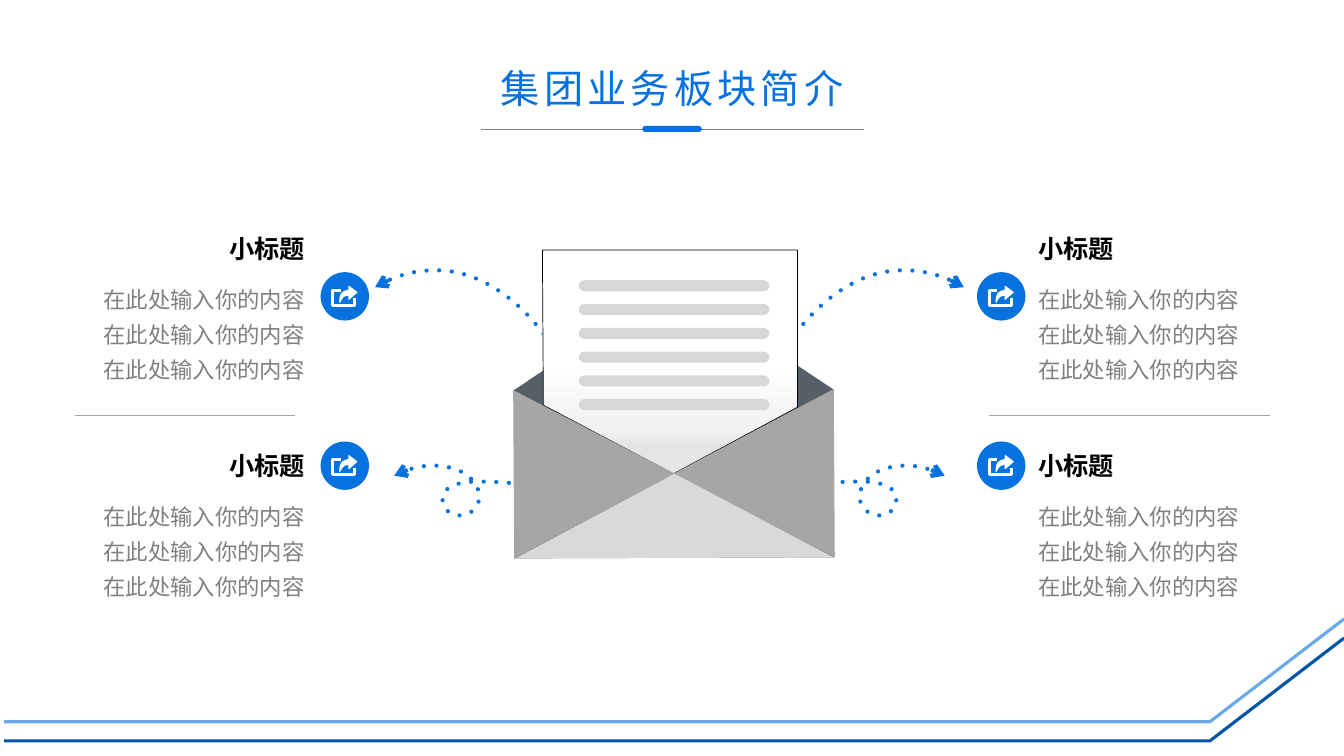
from copy import deepcopy
from lxml.etree import SubElement
from pptx import Presentation
from pptx.dml.color import RGBColor
from pptx.enum.shapes import MSO_CONNECTOR, MSO_SHAPE
from pptx.enum.text import MSO_ANCHOR, PP_ALIGN
from pptx.oxml.ns import qn
from pptx.util import Inches, Pt

BLUE, NAVY, GREY, WHITE = "0672DF", "0555A7", "808080", "FFFFFF"
FACE = "Noto Sans CJK JP"

deck = Presentation()
deck.slide_width, deck.slide_height = Inches(13.33), Inches(7.5)
slide = deck.slides.add_slide(deck.slide_layouts[5])
shapes = slide.shapes


def paint(item, fill=None, line=None, width=0.5):
    if fill:
        item.fill.solid()
        item.fill.fore_color.rgb = RGBColor.from_string(fill)
    elif hasattr(item, "fill"):
        item.fill.background()
    if line:
        item.line.color.rgb = RGBColor.from_string(line)
        item.line.width = Pt(width)
    else:
        item.line.fill.background()
    SubElement(item.element.spPr, qn("a:effectLst"))
    return item


def trace(steps, close=False, flip=0):
    dots = [steps[0]]
    for step in steps[1:]:
        if len(step) == 2:
            dots.append(step)
            continue
        (ax, ay), (bx, by, cx, cy, dx, dy) = dots[-1], step
        for n in range(1, 13):
            t = n / 12
            w = (1 - t) ** 3, 3 * t * (1 - t) ** 2, 3 * t * t * (1 - t), t ** 3
            dots.append((w[0] * ax + w[1] * bx + w[2] * cx + w[3] * dx,
                         w[0] * ay + w[1] * by + w[2] * cy + w[3] * dy))
    spots = [(Inches(flip - x if flip else x), Inches(y)) for x, y in dots]
    pen = shapes.build_freeform(*spots[0], scale=1.0)
    pen.add_line_segments(spots[1:], close=close)
    return pen.convert_to_shape()


for top, hue, alpha in ((6.33, NAVY, 100), (6.14, BLUE, 60)):
    band = trace([(0.04, top + 1.02), (12, top + 1.02), (13.33, top)])
    paint(band, None, hue, 2.25)
    tint = band.element.spPr.find(".//" + qn("a:srgbClr"))
    SubElement(tint, qn("a:alpha"), val=str(alpha * 1000))

rules = ((4.77, 8.57, 1.28, GREY, 0.5), (0.74, 2.93, 4.12, "A6A6A6", 0.25),
         (9.81, 12.6, 4.12, "A6A6A6", 0.25))
for left, right, y, hue, width in rules:
    ends = map(Inches, (left, y, right, y))
    paint(shapes.add_connector(MSO_CONNECTOR.STRAIGHT, *ends), None, hue, width)

mark = shapes.add_shape(MSO_SHAPE.ROUNDED_RECTANGLE, *map(Inches, (6.37, 1.25, 0.59, 0.06)))
mark.adjustments[0] = 0.5
paint(mark, BLUE)

loop = [(5.54, 4.88), (5.25, 4.8, 4.96, 4.77, 4.66, 4.78),
        (4.54, 4.79, 4.4, 4.83, 4.39, 4.94), (4.37, 5.11, 4.62, 5.19, 4.73, 5.02),
        (4.81, 4.87, 4.68, 4.7, 4.5, 4.65), (4.31, 4.59, 4.1, 4.62, 3.91, 4.72)]
arc = [(5.53, 3.52), (5.26, 3.07, 4.9, 2.78, 4.52, 2.7), (4.25, 2.65, 3.97, 2.7, 3.72, 2.85)]
for flip in (0, 13.28):
    for route in (loop, arc):
        trail = paint(trace(route, flip=flip), None, BLUE, 3)
        edge = trail.element.spPr.find(qn("a:ln"))
        edge.set("cap", "rnd")
        dash = SubElement(edge, qn("a:custDash"))
        SubElement(dash, qn("a:ds"), d="100000", sp="200000")
        SubElement(edge, qn("a:round"))
        SubElement(edge, qn("a:tailEnd"), type="arrow")

paint(trace([(5.1, 3.87), (6.68, 2.81), (8.26, 3.86), (8.27, 5.53), (5.11, 5.54)], True), "565F68")
page = trace([(6.68, 4.7), (7.91, 4.04), (7.91, 2.48), (5.38, 2.48), (5.39, 4.02)], True)
paint(page, WHITE, "000000")
page.fill.gradient()
page.fill.gradient_angle = 90
stops = page.element.spPr.find(".//" + qn("a:gsLst"))
stops.append(deepcopy(stops[0]))
shades = (0.12, "E3E5E7"), (0.2, "F1F2F3"), (0.52, WHITE)
for stop, (place, hue) in zip(page.fill.gradient_stops, shades):
    stop.position = place
    stop.color.rgb = RGBColor.from_string(hue)

folds = (([(5.09, 3.87), (6.69, 4.7), (5.1, 5.54)], "A6A6A6"),
         ([(8.27, 3.86), (6.68, 4.7), (8.28, 5.53)], "A6A6A6"),
         ([(6.69, 4.7), (5.11, 5.54), (8.27, 5.53)], "D9D9D9"))
for fold, hue in folds:
    paint(trace(fold, True), hue)

for row in range(6):
    box = map(Inches, (5.74, 2.78 + row * 0.236, 1.89, 0.11))
    bar = shapes.add_shape(MSO_SHAPE.ROUNDED_RECTANGLE, *box)
    bar.adjustments[0] = 0.5
    paint(bar, "D7D7D7")

for disc, left, align in ((3.18, 0.72, PP_ALIGN.RIGHT), (9.69, 10.2, PP_ALIGN.LEFT)):
    for top, head in ((2.7, 2.27), (4.38, 4.42)):
        paint(shapes.add_shape(MSO_SHAPE.OVAL, *map(Inches, (disc, top, 0.48, 0.48))), BLUE)
        tray = (0.2, 0.18), (0.12, 0.18), (0.12, 0.33), (0.34, 0.33), (0.34, 0.26)
        paint(trace([(disc + x, top + y) for x, y in tray]), None, WHITE, 2.25)
        arrow = ((0.28, 0.14), (0.36, 0.2), (0.28, 0.27), (0.28, 0.23),
                 (0.25, 0.23, 0.22, 0.23, 0.19, 0.3), (0.19, 0.22, 0.21, 0.19, 0.28, 0.18))
        steps = [[v + (top if n % 2 else disc) for n, v in enumerate(step)] for step in arrow]
        paint(trace(steps, True), WHITE, WHITE, 0.75)

        notes = ((head + 0.44, 1.16, "在此处输入你的内容" * 3, 16, FACE, GREY, False, 1.3),
                 (head, 0.44, "小标题", 18, "Arial", "000000", True, 1))
        for y, high, words, size, face, hue, bold, space in notes:
            frame = shapes.add_textbox(*map(Inches, (left, y, 2.4, high))).text_frame
            frame.word_wrap = True
            frame.text = words
            para = frame.paragraphs[0]
            para.alignment, para.line_spacing = align, space
            font = para.runs[0].font
            font.size, font.name, font.bold = Pt(size), face, bold
            font.color.rgb = RGBColor.from_string(hue)
            SubElement(para.runs[0]._r.rPr, qn("a:ea"), typeface=FACE)

title = shapes.title
title.left, title.top, title.width, title.height = map(Inches, (3.59, 0.59, 6.15, 0.62))
title.text_frame.text = "集团业务板块简介"
title.text_frame.vertical_anchor = MSO_ANCHOR.MIDDLE
para = title.text_frame.paragraphs[0]
para.alignment, para.line_spacing = PP_ALIGN.CENTER, 0.9
font = para.runs[0].font
font.size, font.name = Pt(28), FACE
font.color.rgb = RGBColor.from_string(BLUE)
para.runs[0]._r.rPr.set("spc", "300")
SubElement(para.runs[0]._r.rPr, qn("a:ea"), typeface=FACE)

deck.save("out.pptx")
